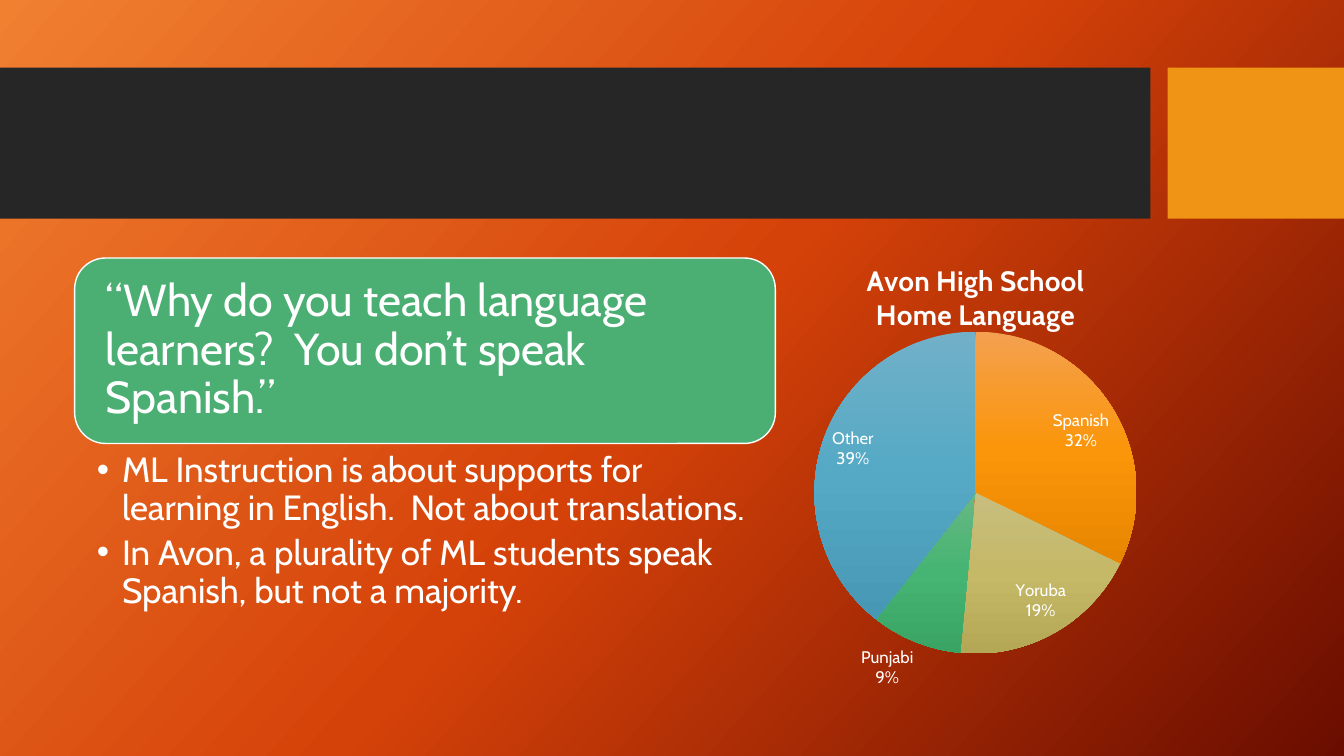
from lxml import etree
from pptx import Presentation
from pptx.chart.data import CategoryChartData
from pptx.dml.color import RGBColor
from pptx.enum.chart import XL_CHART_TYPE, XL_LABEL_POSITION
from pptx.enum.shapes import MSO_SHAPE
from pptx.enum.text import MSO_ANCHOR, MSO_AUTO_SIZE, PP_ALIGN
from pptx.oxml.ns import qn
from pptx.util import Inches, Pt

FONT = "Cabin"
WHITE = RGBColor(0xFF, 0xFF, 0xFF)
DARK = RGBColor(0x26, 0x26, 0x26)
AMBER = RGBColor(0xF0, 0x94, 0x15)
GREEN = RGBColor(0x4B, 0xAF, 0x73)
BACK = [RGBColor(0xF1, 0x80, 0x31), RGBColor(0xD5, 0x42, 0x09), RGBColor(0x6A, 0x0D, 0x00)]
SLICES = [
    ("Spanish", 32, [RGBColor(0xF4, 0xA0, 0x50), RGBColor(0xFB, 0x96, 0x0A), RGBColor(0xE8, 0x86, 0x00)]),
    ("Yoruba", 19, [RGBColor(0xC8, 0xBE, 0x7F), RGBColor(0xC5, 0xB8, 0x67), RGBColor(0xB4, 0xA7, 0x56)]),
    ("Punjabi", 9, [RGBColor(0x67, 0xB8, 0x84), RGBColor(0x46, 0xB4, 0x72), RGBColor(0x3A, 0xA4, 0x64)]),
    ("Other", 39, [RGBColor(0x71, 0xB0, 0xC8), RGBColor(0x55, 0xA9, 0xC5), RGBColor(0x47, 0x98, 0xB4)]),
]
QUOTE = "“Why do you teach language learners?  You don’t speak Spanish.”"
POINTS = [
    "ML Instruction is about supports for learning in English.  Not about translations.",
    "In Avon, a plurality of ML students speak Spanish, but not a majority.",
]


def blend(host, colors, angle):
    solid = next(host.iter(qn("a:solidFill")))
    grad = etree.Element(qn("a:gradFill"), rotWithShape="1")
    stops = etree.SubElement(grad, qn("a:gsLst"))
    for i, color in enumerate(colors):
        stop = etree.SubElement(stops, qn("a:gs"), pos=str(i * 50000))
        etree.SubElement(stop, qn("a:srgbClr"), val=str(color))
    etree.SubElement(grad, qn("a:lin"), ang=str(angle * 60000), scaled="0")
    solid.getparent().replace(solid, grad)


def block(slide, kind, box, color):
    shape = slide.shapes.add_shape(kind, *map(Inches, box))
    shape.shadow.inherit = False
    shape.fill.solid()
    shape.fill.fore_color.rgb = color
    shape.line.fill.background()
    return shape


def style(font, size, bold=False):
    font.name, font.size, font.bold = FONT, Pt(size), bold
    font.color.rgb = WHITE


def add_band(slide, left, top, width, height):
    side, gap = 1.75, 0.17
    main = width - side - gap
    block(slide, MSO_SHAPE.RECTANGLE, (left, top, main, height), DARK)
    block(slide, MSO_SHAPE.RECTANGLE, (left + main + gap, top, side, height), AMBER)


def add_quote(slide, left, top, width, height):
    card = block(slide, MSO_SHAPE.ROUNDED_RECTANGLE, (left, top, width, height), GREEN)
    card.line.color.rgb = WHITE
    card.line.width = Pt(1)
    frame = card.text_frame
    frame.word_wrap = True
    frame.vertical_anchor = MSO_ANCHOR.MIDDLE
    frame.margin_left = frame.margin_right = Inches(0.22)
    frame.text = QUOTE
    para = frame.paragraphs[0]
    para.alignment = PP_ALIGN.LEFT
    para.line_spacing = 0.9
    style(para.font, 32)


def add_list(slide, left, top, width, height):
    body = slide.placeholders[1]
    body.left, body.top = Inches(left), Inches(top)
    body.width, body.height = Inches(width), Inches(height)
    frame = body.text_frame
    frame.word_wrap = True
    frame.auto_size = MSO_AUTO_SIZE.NONE
    frame.vertical_anchor = MSO_ANCHOR.TOP
    frame.margin_left, frame.margin_right = Inches(0.22), Inches(0.25)
    frame.margin_top = frame.margin_bottom = Inches(0.04)
    frame.text = "\n".join(POINTS)
    for para in frame.paragraphs:
        para.line_spacing = 0.9
        para.space_before, para.space_after = Pt(0), Pt(5)
        style(para.font, 25)
        props = para._p.get_or_add_pPr()
        props.set("marL", str(Inches(0.25)))
        props.set("indent", str(Inches(-0.25)))
        etree.SubElement(props, qn("a:buChar"), char="•")
        props.append(props.find(qn("a:defRPr")))


def place(host, index, **spots):
    old = host.find(qn("c:layout"))
    if old is not None:
        host.remove(old)
    layout = etree.Element(qn("c:layout"))
    manual = etree.SubElement(layout, qn("c:manualLayout"))
    for tag, val in spots.items():
        etree.SubElement(manual, qn("c:" + tag), val=str(val))
    host.insert(index, layout)


def add_pie(slide, left, top, width, height):
    data = CategoryChartData()
    data.categories = [name for name, _, _ in SLICES]
    data.add_series("Series 1", [value for _, value, _ in SLICES])
    box = map(Inches, (left, top, width, height))
    chart = slide.shapes.add_chart(XL_CHART_TYPE.PIE, *box, data).chart
    style(chart.font, 10)
    chart.has_legend = False
    chart.has_title = True
    title = chart.chart_title
    title.text_frame.text = "Avon High School\nHome Language"
    for para in title.text_frame.paragraphs:
        style(para.font, 20, True)
    place(title._element, 1, xMode="edge", yMode="edge", x=0.3, y=0.04)
    area = chart._chartSpace.chart.plotArea
    place(area, 0, layoutTarget="inner", xMode="edge", yMode="edge",
          x=0.215, y=0.202, w=0.556, h=0.716)

    plot = chart.plots[0]
    plot.vary_by_categories = True
    for i in range(len(SLICES)):
        look = plot.series[0].points[i].format
        look.fill.solid()
        look.fill.fore_color.rgb = WHITE
        look.line.fill.background()
    for part, (_, _, colors) in zip(area.iter(qn("c:dPt")), SLICES):
        blend(part, colors, 90)

    plot.has_data_labels = True
    labels = plot.data_labels
    labels.show_category_name = labels.show_percentage = True
    labels.show_value = False
    labels.position = XL_LABEL_POSITION.BEST_FIT
    style(labels.font, 12)
    split = etree.Element(qn("c:separator"))
    split.text = "\n"
    labels._element.find(qn("c:showBubbleSize")).addnext(split)


def main():
    deck = Presentation()
    deck.slide_width, deck.slide_height = Inches(13.33), Inches(7.5)
    slide = deck.slides.add_slide(deck.slide_layouts[1])
    title = slide.shapes.title._element
    title.getparent().remove(title)
    fill = slide.background.fill
    fill.solid()
    fill.fore_color.rgb = BACK[0]
    blend(slide._element, BACK, 42)
    add_band(slide, 0, 0.67, 13.33, 1.5)
    add_quote(slide, 0.74, 2.56, 6.95, 1.84)
    add_list(slide, 0.74, 4.45, 6.95, 1.99)
    add_pie(slide, 6.84, 2.39, 5.75, 4.46)
    deck.save("out.pptx")


if __name__ == "__main__":
    main()
